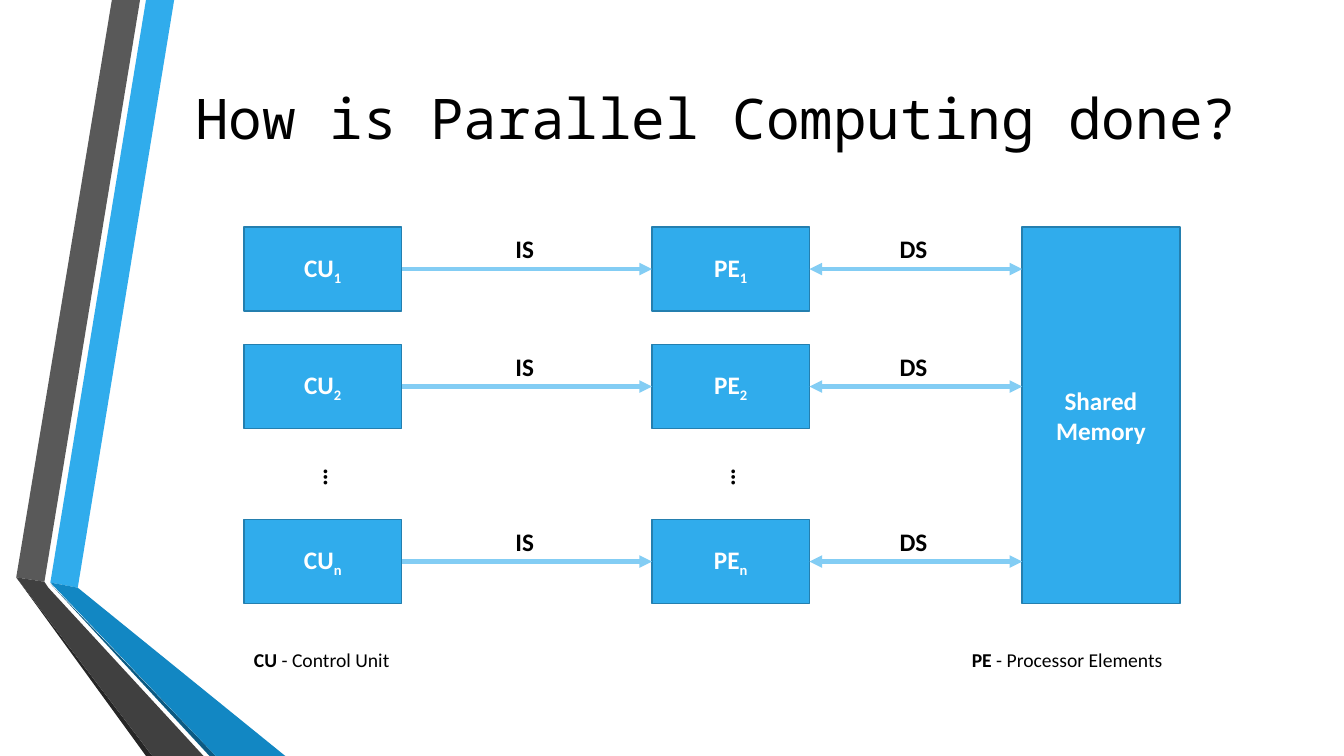
from dataclasses import dataclass

from lxml import etree
from pptx import Presentation
from pptx.dml import color
from pptx.enum import shapes, text
from pptx.oxml import ns
from pptx.shapes import autoshape, connector
from pptx.text import text as words
from pptx.util import Cm, Pt

BLUE, EDGE, WIRE, BLACK, WHITE = "30ACEC", "247FAF", "83CDF4", "000000", "FFFFFF"


@dataclass
class Band:
    fill: str
    points: list[tuple[float, float]]


@dataclass
class Span:
    wording: str
    bold: bool = True
    subscript: bool = False


@dataclass
class Row:
    top: float
    index: str


# Lengths in centimetres
SLIDE_WIDTH, SLIDE_HEIGHT = 33.87, 19.05
BLOCK_WIDTH, BLOCK_HEIGHT = 3.97, 2.12
CONTROL_LEFT, ELEMENT_LEFT, MEMORY_LEFT = 6.15, 16.43, 25.76
LABEL_HEIGHT = 1.02
ROWS = [Row(5.72, "1"), Row(8.68, "2"), Row(13.09, "n")]
BANDS = [
    Band(BLUE, [(1.27, 14.68), (1.96, 14.81), (4.39, 0), (3.68, 0)]),
    Band("595959", [(3.53, 0), (2.82, 0), (0.41, 14.55), (1.12, 14.66)]),
    Band("262626", [(0.41, 14.55), (3.68, 19.05), (3.84, 19.05)]),
    Band("0C5A82", [(1.27, 14.71), (5.28, 19.05), (5.44, 19.05)]),
    Band("1287C3", [(1.27, 14.68), (5.44, 19.05), (7.19, 19.05), (1.96, 14.81)]),
    Band("404040", [(5.13, 19.05), (1.22, 14.81), (1.12, 14.66), (0.41, 14.55),
                    (3.84, 19.05)]),
]

deck = Presentation()
deck.slide_width, deck.slide_height = Cm(SLIDE_WIDTH), Cm(SLIDE_HEIGHT)
page = deck.slides.add_slide(deck.slide_layouts[5])


def paint(target: color.ColorFormat, value: str) -> None:
    target.rgb = color.RGBColor.from_string(value)


def write(para: words._Paragraph, spans: list[Span], size: float, ink: str,
          font: str = "Calibri") -> None:
    for item in spans:
        span = para.add_run()
        span.text = item.wording
        span.font.name, span.font.size, span.font.bold = font, Pt(size), item.bold
        paint(span.font.color, ink)
        if item.subscript:
            span._r.get_or_add_rPr().set("baseline", "-25000")


def add_band(band: Band) -> None:
    start, *others = [(Cm(x), Cm(y)) for x, y in band.points]
    builder = page.shapes.build_freeform(*start)
    builder.add_line_segments(others, close=True)
    shape = builder.convert_to_shape()
    shape.shadow.inherit = False
    shape.fill.solid()
    paint(shape.fill.fore_color, band.fill)
    shape.line.fill.background()


def add_block(left: float, top: float, height: float, spans: list[Span]) -> autoshape.Shape:
    box = page.shapes.add_shape(shapes.MSO_SHAPE.RECTANGLE, Cm(left), Cm(top),
                                Cm(BLOCK_WIDTH), Cm(height))
    box.shadow.inherit = False
    box.fill.solid()
    paint(box.fill.fore_color, BLUE)
    paint(box.line.color, EDGE)
    box.line.width = Pt(1.25)
    box.text_frame.word_wrap = True
    box.text_frame.vertical_anchor = text.MSO_ANCHOR.MIDDLE
    para = box.text_frame.paragraphs[0]
    para.alignment = text.PP_ALIGN.CENTER
    write(para, spans, 18, WHITE)
    return box


def add_text(left: float, top: float, width: float, height: float, spans: list[Span],
             size: float = 18, wrap: bool = False) -> autoshape.Shape:
    box = page.shapes.add_textbox(Cm(left), Cm(top), Cm(width), Cm(height))
    box.text_frame.word_wrap = wrap
    box.text_frame.auto_size = text.MSO_AUTO_SIZE.SHAPE_TO_FIT_TEXT
    write(box.text_frame.paragraphs[0], spans, size, BLACK)
    return box


def add_wire(start: float, end: float, middle: float, ends: list[str]) -> connector.Connector:
    wire = page.shapes.add_connector(shapes.MSO_CONNECTOR.STRAIGHT, Cm(start), Cm(middle),
                                     Cm(end), Cm(middle))
    paint(wire.line.color, WIRE)
    wire.line.width = Pt(3)
    for name in ends:
        etree.SubElement(wire.line._get_or_add_ln(), ns.qn(f"a:{name}"), type="triangle")
    etree.SubElement(wire.element.spPr, ns.qn("a:effectLst"))
    return wire


def add_stream(left: float, right: float, top: float, name: str, width: float,
               ends: list[str]) -> connector.Connector:
    """Draw a wire with its label centred just above it."""
    middle = top + BLOCK_HEIGHT / 2
    add_text((left + right - width) / 2, middle - LABEL_HEIGHT, width, LABEL_HEIGHT,
             [Span(name)])
    return add_wire(left, right, middle, ends)


# Side bands
for band in BANDS:
    add_band(band)

# Title
title = page.shapes.title
title.left, title.top, title.width, title.height = Cm(4.11), Cm(1.9), Cm(27.84), Cm(2.11)
title.text_frame.auto_size = text.MSO_AUTO_SIZE.NONE
title.text_frame.vertical_anchor = text.MSO_ANCHOR.MIDDLE
heading = title.text_frame.paragraphs[0]
heading.alignment = text.PP_ALIGN.CENTER
write(heading, [Span("How is Parallel Computing done?", bold=False)], 40, BLACK,
      "Noto Sans Mono")

# Shared memory beside all rows
add_block(MEMORY_LEFT, ROWS[0].top, ROWS[-1].top + BLOCK_HEIGHT - ROWS[0].top,
          [Span("Shared Memory")])

# Control units, processor elements and their streams
for row in ROWS:
    control, element = (
        add_block(left, row.top, BLOCK_HEIGHT, [Span(name), Span(row.index, subscript=True)])
        for left, name in ((CONTROL_LEFT, "CU"), (ELEMENT_LEFT, "PE")))
    instruction = add_stream(CONTROL_LEFT + BLOCK_WIDTH, ELEMENT_LEFT, row.top, "IS", 1.07,
                             ["tailEnd"])
    instruction.begin_connect(control, 3)
    instruction.end_connect(element, 1)
    data = add_stream(ELEMENT_LEFT + BLOCK_WIDTH, MEMORY_LEFT, row.top, "DS", 1.32,
                      ["headEnd", "tailEnd"])
    data.begin_connect(element, 3)

# Vertical dots for the rows left out
for left in (CONTROL_LEFT, ELEMENT_LEFT):
    dots = add_text(left + 1.5, 11.56, 1.27, 0.81, [Span("…")])
    dots.element.txBody.bodyPr.set("vert", "vert")

# Legend, with a tab stop before its second entry
legend = add_text(CONTROL_LEFT, 16.21, MEMORY_LEFT + BLOCK_WIDTH - CONTROL_LEFT, 0.86,
                  [Span("CU"), Span(" - Control Unit\t", bold=False),
                   Span("PE"), Span(" - Processor Elements", bold=False)], 14, wrap=True)
properties = legend.text_frame.paragraphs[0]._p.get_or_add_pPr()
stops = etree.SubElement(properties, ns.qn("a:tabLst"))
etree.SubElement(stops, ns.qn("a:tab"), pos=str(Cm(18.09)), algn="l")

deck.save("out.pptx")
